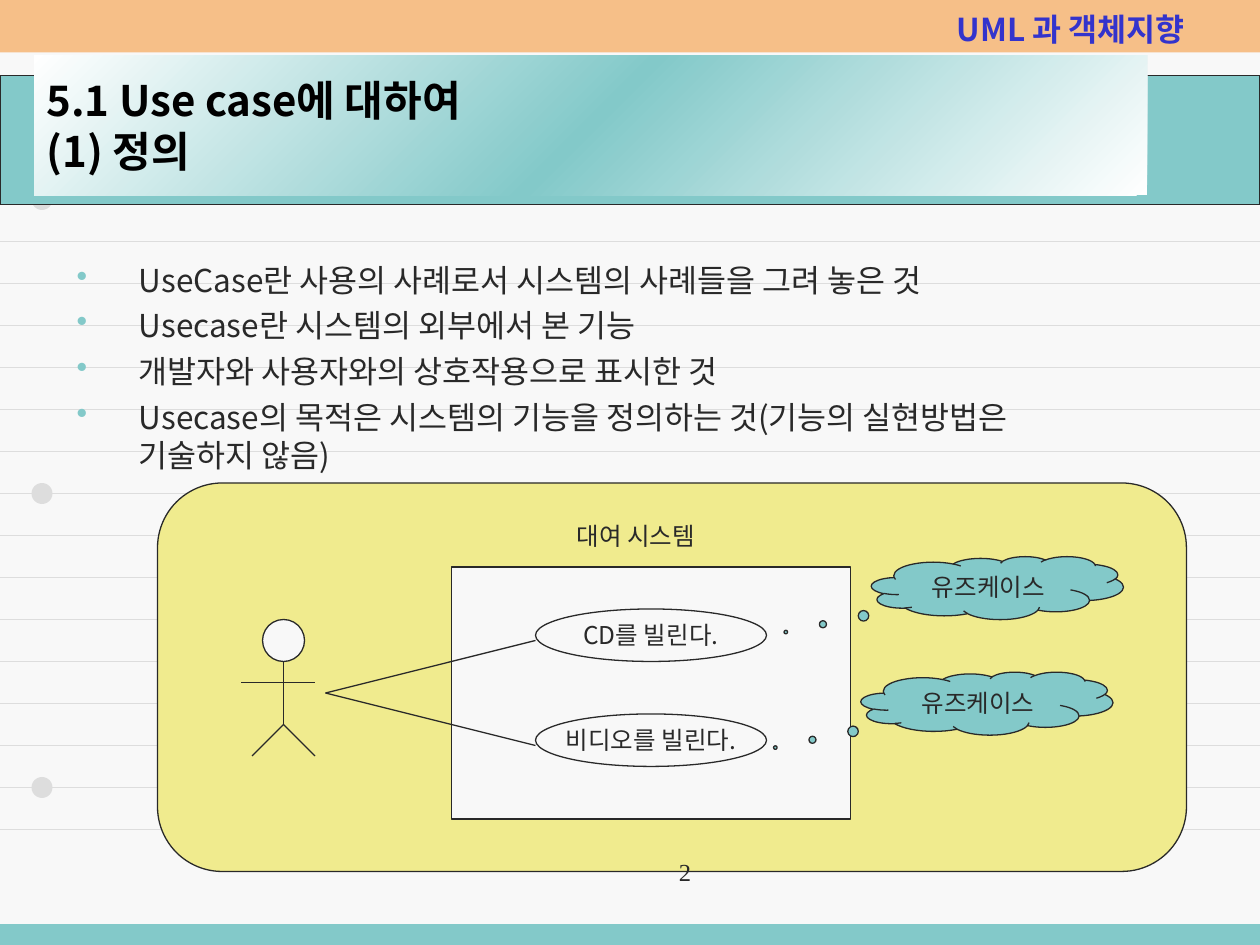
from lxml import etree
from pptx import Presentation
from pptx.dml.color import RGBColor
from pptx.enum import shapes, text
from pptx.oxml import ns
from pptx.util import Pt

INK, TEAL, PAPER, GREY = "292929", "83C9C9", "F8F8F8", "DDDDDD"
FONT = "Noto Sans CJK KR"
KIND = shapes.MSO_SHAPE
ALIGN = text.PP_ALIGN
BULLETS = [
    "UseCase란 사용의 사례로서 시스템의 사례들을 그려 놓은 것",
    "Usecase란 시스템의 외부에서 본 기능",
    "개발자와 사용자와의 상호작용으로 표시한 것",
    "Usecase의 목적은 시스템의 기능을 정의하는 것(기능의 실현방법은 기술하지 않음)",
]


def color(value):
    """Return the colour of a hex string."""
    return RGBColor.from_string(value)


def add_node(parent, tag, **attrs):
    """Append a drawing element with its attributes."""
    node = etree.SubElement(parent, ns.qn(tag))
    for name, value in attrs.items():
        node.set(name, str(value))
    return node


def write(sp, lines, size=14, font=FONT, ink=INK, bold=False, align=ALIGN.LEFT,
          anchor=text.MSO_ANCHOR.TOP, wrap=False, before=0):
    """Fill a shape with paragraphs in one format."""
    tf = sp.text_frame
    tf.word_wrap = wrap
    tf.vertical_anchor = anchor
    tf.margin_left = tf.margin_right = Pt(7.2)
    tf.margin_top = tf.margin_bottom = Pt(3.6)
    for i, line in enumerate(lines):
        p = tf.paragraphs[0] if i == 0 else tf.add_paragraph()
        p.text = line
        p.alignment = align
        p.space_before = Pt(before)
        for r in p.runs:
            r.font.size, r.font.name, r.font.bold = Pt(size), font, bold
            r.font.color.rgb = color(ink)
            add_node(r.font._element, "a:ea", typeface=font)
    return tf


def add_text(s, x, y, w, h, lines, **fmt):
    """Add a text box and write in it."""
    return write(s.shapes.add_textbox(Pt(x), Pt(y), Pt(w), Pt(h)), lines, **fmt)


def add_shape(s, kind, x, y, w, h, fill, line=None):
    """Add a flat preset shape."""
    sp = s.shapes.add_shape(kind, Pt(x), Pt(y), Pt(w), Pt(h))
    sp.shadow.inherit = False
    sp.fill.solid()
    sp.fill.fore_color.rgb = color(fill)
    if line:
        sp.line.color.rgb = color(line)
        sp.line.width = Pt(0.75)
    else:
        sp.line.fill.background()
    return sp


def add_line(s, x1, y1, x2, y2, ink=INK, width=0.75):
    """Add a straight line without shadow."""
    c = s.shapes.add_connector(shapes.MSO_CONNECTOR.STRAIGHT, Pt(x1), Pt(y1), Pt(x2), Pt(y2))
    c.line.color.rgb = color(ink)
    c.line.width = Pt(width)
    add_node(c._element.spPr, "a:effectLst")


def add_notebook(s, w, h):
    """Draw the ruled paper, its holes and the bands."""
    s.background.fill.solid()
    s.background.fill.fore_color.rgb = color(PAPER)
    for y in range(90, 475, 24):
        add_line(s, 0, y, w, y, GREY, 0.5)
    for y in range(108, 445, 168):
        add_shape(s, KIND.OVAL, 18, y, 12, 12, GREY)
    add_shape(s, KIND.RECTANGLE, 0, h - 12, w, 12, TEAL)
    add_shape(s, KIND.RECTANGLE, 0, 0, w, 30, "F6BF88")
    add_shape(s, KIND.RECTANGLE, 0, 43.2, w, 73.6, TEAL, INK)
    add_text(s, 539.7, 2, 165, 18, ["UML 과 객체지향"], size=18, ink="3333CC", bold=True,
             wrap=True)


def add_title(s, x, y, w, h):
    """Add the title on its diagonal gradient."""
    sp = add_shape(s, KIND.RECTANGLE, x, y, w, h, TEAL)
    solid = sp._element.spPr.find(ns.qn("a:solidFill"))
    grad = etree.Element(ns.qn("a:gradFill"), rotWithShape="1")
    stops = add_node(grad, "a:gsLst")
    for pos, value in ((0, "FFFFFF"), (50000, TEAL), (100000, "FFFFFF")):
        add_node(add_node(stops, "a:gs", pos=pos), "a:srgbClr", val=value)
    add_node(grad, "a:lin", ang=225 * 60000, scaled=0)
    solid.getparent().replace(solid, grad)
    write(sp, ["5.1 Use case에 대하여\v(1) 정의"], size=24, ink="000000", bold=True,
          anchor=text.MSO_ANCHOR.MIDDLE, wrap=True)


def add_bullets(s, x, y, w, h):
    """Add the bulleted definitions."""
    tf = add_text(s, x, y, w, h, BULLETS, size=18, wrap=True, before=4.5)
    for p in tf.paragraphs:
        pr = p._p.get_or_add_pPr()
        pr.set("marL", str(Pt(35.4)))
        pr.set("indent", str(-Pt(35.4)))
        add_node(add_node(pr, "a:buClr"), "a:srgbClr", val=TEAL)
        add_node(pr, "a:buChar", char="•")


def add_actor(s, x, y, w, h):
    """Draw the stick figure."""
    mid, hip, foot = x + 24, y + 60, y + h
    add_shape(s, KIND.OVAL, mid - 12, y, 24, 24, PAPER, INK)
    add_line(s, x, y + 36, x + w, y + 36)
    add_line(s, mid, y + 24, mid, hip)
    for side in (-18, 18):
        add_line(s, mid, hip, mid + side, foot)


def add_diagram(s, x, y, w, h):
    """Draw the rental system with its actor and use cases."""
    add_shape(s, KIND.ROUNDED_RECTANGLE, x, y, w, h, "F0EB8E", INK)
    add_actor(s, x + 48, y + 78, 42, 78)
    add_shape(s, KIND.RECTANGLE, x + 168, y + 48, 228, 144, PAPER, INK)
    add_text(s, x + 232.5, y + 18, 82, 24.5, ["대여 시스템"])
    centred = {"align": ALIGN.CENTER, "anchor": text.MSO_ANCHOR.MIDDLE}
    cases = (("CD를 빌린다.", 72, 90, 408, 42), ("비디오를 빌린다.", 132, 150, 402, 108))
    for label, top, end, cloud_x, cloud_y in cases:
        write(add_shape(s, KIND.OVAL, x + 216, y + top, 132, 30, PAPER, INK), [label], **centred)
        add_line(s, x + 96, y + 120, x + 216, y + end)
        cloud = add_shape(s, KIND.CLOUD_CALLOUT, x + cloud_x, y + cloud_y, 144, 36, TEAL, INK)
        cloud.adjustments[0], cloud.adjustments[1] = -0.84, 0.7
        write(cloud, ["유즈케이스"], align=ALIGN.CENTER, wrap=True)


def main():
    """Build the slide and save it."""
    prs = Presentation()
    prs.slide_width, prs.slide_height = Pt(720), Pt(540)
    s = prs.slides.add_slide(prs.slide_layouts[6])
    add_notebook(s, 720, 540)
    add_title(s, 19.5, 31.5, 636, 80)
    add_bullets(s, 36.8, 145.5, 595.5, 357)
    add_diagram(s, 90, 276, 588, 222)
    add_text(s, 234, 486, 168, 37.5, ["2"], font="Times New Roman", align=ALIGN.RIGHT, wrap=True)
    prs.save("out.pptx")


if __name__ == "__main__":
    main()
